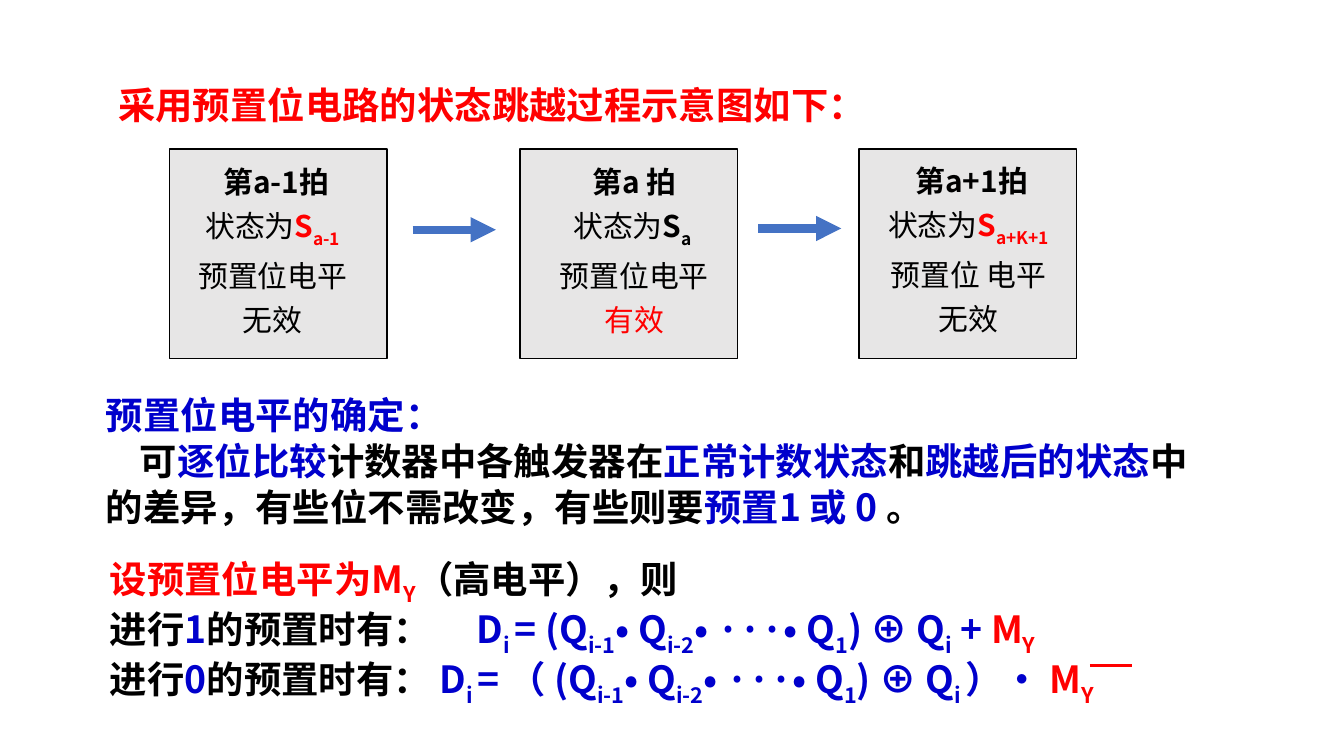
from lxml.etree import SubElement
from pptx import Presentation
from pptx.dml.color import RGBColor
from pptx.enum.shapes import MSO_CONNECTOR, MSO_SHAPE
from pptx.enum.text import PP_ALIGN
from pptx.oxml.ns import qn
from pptx.util import Pt

HUES = {
    "black": "000000",
    "red": "FF0000",
    "blue": "0000CC",
    "arrow": "4472C4",
    "gray": "E7E6E6",
}
FONT = "Noto Sans CJK JP"
TERMS = "(Q{i-1}• Q{i-2}• ···• Q{1}) ⊕ Q"


def color(name):
    return RGBColor.from_string(HUES[name])


def add_runs(para, parts):
    for hue, bold, text in parts:
        for i, piece in enumerate(text.replace("}", "{").split("{")):
            if not piece:
                continue
            run = para.add_run()
            run.text = piece
            run.font.bold = bold
            run.font.color.rgb = color(hue)
            if i % 2:
                run.font._element.set("baseline", "-25000")


def add_text(slide, box, lines, size, gap, ratio=1.0, align=PP_ALIGN.LEFT, font=FONT):
    frame = slide.shapes.add_textbox(*map(Pt, box)).text_frame
    frame.word_wrap = True
    for i, parts in enumerate(lines):
        para = frame.paragraphs[0] if i == 0 else frame.add_paragraph()
        para.alignment = align
        para.line_spacing = ratio
        if i:
            para.space_before = Pt(gap)
        add_runs(para, parts)
    return frame


def set_font(frame, size, font=FONT):
    for para in frame.paragraphs:
        para.font.size = Pt(size)
        para.font.name = font
        base = para._p.pPr.find(qn("a:defRPr"))
        SubElement(base, qn("a:ea"), typeface=FONT)


def add_line(slide, start, end, top, hue, width, arrow=False):
    line = slide.shapes.add_connector(
        MSO_CONNECTOR.STRAIGHT, Pt(start), Pt(top), Pt(end), Pt(top))
    line.line.color.rgb = color(hue)
    line.line.width = Pt(width)
    if arrow:
        SubElement(line.line._get_or_add_ln(), qn("a:tailEnd"), type="triangle")
    SubElement(line._element.spPr, qn("a:effectLst"))


def add_state(slide, left, box, lines):
    card = slide.shapes.add_shape(
        MSO_SHAPE.RECTANGLE, Pt(left), Pt(79.9), Pt(116.6), Pt(112.3))
    card.shadow.inherit = False
    card.fill.solid()
    card.fill.fore_color.rgb = color("gray")
    card.line.color.rgb = color("black")
    card.line.width = Pt(0.75)
    head, mark, hue, level, value, tone = lines
    frame = add_text(slide, box, [
        [("black", True, head)],
        [("black", False, "状态为"), (hue, True, mark)],
        [("black", False, level)],
        [(tone, False, value)],
    ], 16, 4.6, align=PP_ALIGN.CENTER)
    set_font(frame, 16)


def add_title(slide):
    frame = add_text(slide, (56.2, 43.2, 405.4, 44.6), [
        [("red", True, "采用预置位电路的状态跳越过程示意图如下：")],
    ], 20, 0, 0.9)
    set_font(frame, 20, "Calibri")


def add_rule(slide):
    frame = add_text(slide, (49.7, 212.4, 639.4, 85.7), [
        [("blue", True, "预置位电平的确定：")],
        [("black", True, "可"), ("blue", True, "逐位比较"),
         ("black", True, "计数器中各触发器在"), ("blue", True, "正常计数状态"),
         ("black", True, "和"), ("blue", True, "跳越后的状态"),
         ("black", True, "中")],
        [("black", True, "的差异，有些位不需改变，有些则要"),
         ("blue", True, "预置1 或 0 "), ("black", True, "。")],
    ], 20, 6.4, 0.75)
    frame.paragraphs[1]._p.get_or_add_pPr().set("indent", str(Pt(18.2)))
    set_font(frame, 20)


def add_logic(slide):
    frame = add_text(slide, (51.8, 298.1, 599.8, 85.7), [
        [("red", True, "设预置位电平为M{Y}"), ("black", True, "（高电平），则")],
        [("black", True, "进行"), ("blue", True, "1"),
         ("black", True, "的预置时有：\t"),
         ("blue", True, "D{i }= " + TERMS + "{i} + "), ("red", True, "M{Y}")],
        [("black", True, "进行"), ("blue", True, "0"),
         ("black", True, "的预置时有： "),
         ("blue", True, "D{i }= （ " + TERMS + "{i }）•"), ("red", True, " M{Y}")],
    ], 20, 6.4, 0.75)
    tabs = SubElement(frame.paragraphs[1]._p.get_or_add_pPr(), qn("a:tabLst"))
    SubElement(tabs, qn("a:tab"), pos=str(Pt(196.5)), algn="l")
    set_font(frame, 20)
    add_line(slide, 583.9, 606.2, 356.4, "red", 1.75)


def main():
    deck = Presentation()
    deck.slide_width, deck.slide_height = Pt(720), Pt(405)
    slide = deck.slides.add_slide(deck.slide_layouts[6])
    add_title(slide)
    add_state(slide, 90.7, (90.7, 84.2, 110.9, 113.8),
              (" 第a-1拍", "S{a-1}", "red", "预置位电平", "无效", "black"))
    add_state(slide, 278.6, (284.4, 84.2, 110.9, 113.8),
              ("第a 拍", "S{a }", "black", "预置位电平", "有效", "red"))
    add_state(slide, 460.1, (449.3, 83.5, 139, 113.8),
              (" 第a+1拍", "S{a+K+1}", "red", "预置位 电平", "无效", "black"))
    add_line(slide, 221, 265.7, 123.1, "arrow", 4.5, True)
    add_line(slide, 406.1, 450.7, 122.4, "arrow", 4.5, True)
    add_rule(slide)
    add_logic(slide)
    deck.save("out.pptx")


if __name__ == "__main__":
    main()
